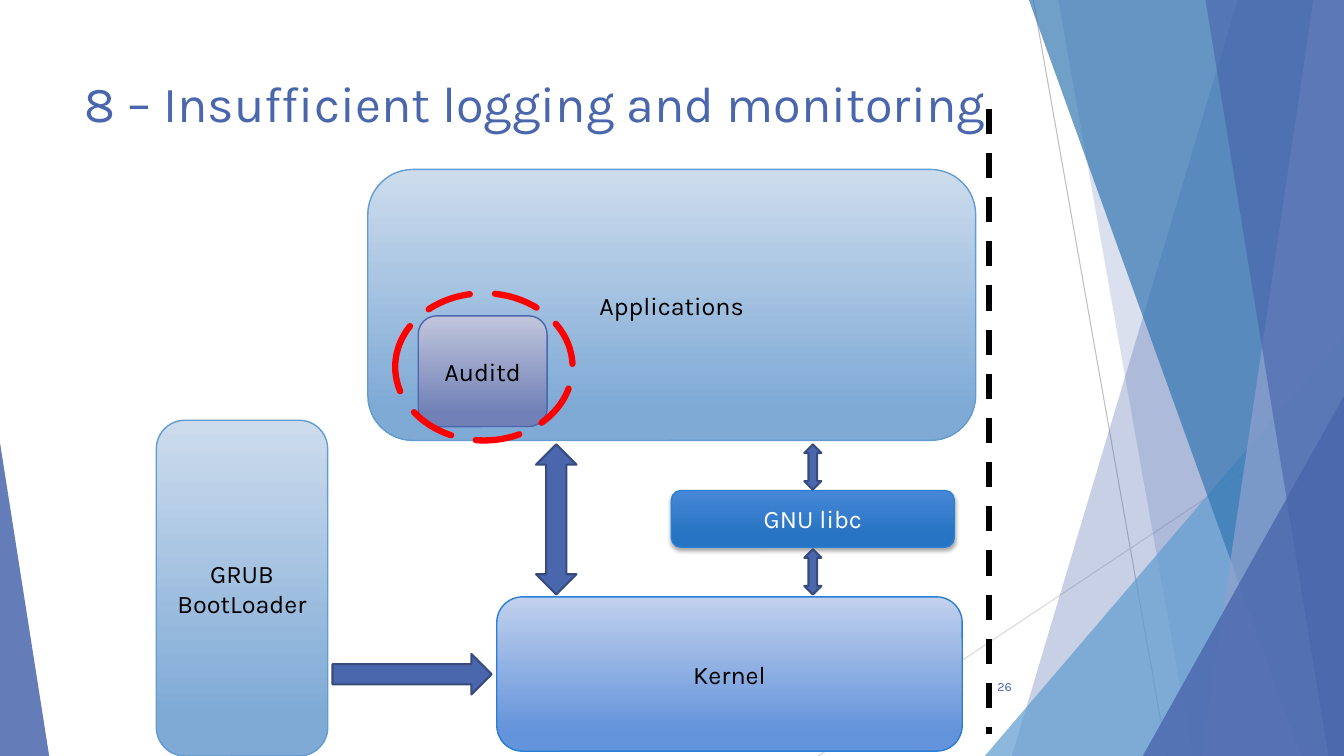
from lxml import etree
from pptx import Presentation
from pptx.dml.color import RGBColor
from pptx.enum.dml import MSO_LINE
from pptx.enum.shapes import MSO_CONNECTOR, MSO_SHAPE
from pptx.enum.text import MSO_ANCHOR, MSO_AUTO_SIZE, PP_ALIGN
from pptx.oxml.ns import qn
from pptx.util import Cm, Pt

ROUNDED = MSO_SHAPE.ROUNDED_RECTANGLE
TRIANGLE = MSO_SHAPE.ISOSCELES_TRIANGLE
RIGHT_ARROW = MSO_SHAPE.RIGHT_ARROW
UP_DOWN_ARROW = MSO_SHAPE.UP_DOWN_ARROW
OVAL = MSO_SHAPE.OVAL
STRAIGHT = MSO_CONNECTOR.STRAIGHT
DASH, LONG_DASH = MSO_LINE.DASH, MSO_LINE.LONG_DASH
TOP, MIDDLE = MSO_ANCHOR.TOP, MSO_ANCHOR.MIDDLE
LEFT, CENTER, RIGHT = PP_ALIGN.LEFT, PP_ALIGN.CENTER, PP_ALIGN.RIGHT
NO_AUTOFIT = MSO_AUTO_SIZE.NONE

WIDTH, HEIGHT = 33.87, 19.05
INDIGO, SKY, NAVY, AZURE = "4A66AC", "629DD1", "374B7F", "297FD5"
PALE_SKY = ("CDDCED", "7FAAD6")


def rgb(code):
    return RGBColor.from_string(code)


def lengths(values):
    return [Cm(value) for value in values]


class SlideBuilder:
    font = "Karla"

    def __init__(self, slide):
        self.slide = slide
        self.shapes = slide.shapes

    def set_text(self, frame, text, size, color, align, anchor, wrap):
        frame.text = text
        frame.auto_size = NO_AUTOFIT
        frame.word_wrap = wrap
        frame.vertical_anchor = anchor
        for paragraph in frame.paragraphs:
            paragraph.alignment = align
            for run in paragraph.runs:
                run.font.name = self.font
                run.font.size = Pt(size)
                run.font.color.rgb = rgb(color)

    def title(self, text, box):
        title = self.shapes.title
        title.left, title.top, title.width, title.height = lengths(box)
        self.set_text(title.text_frame, text, 36, INDIGO, LEFT, TOP, True)

    def page_number(self, text, box):
        number = self.shapes.add_textbox(*lengths(box))
        self.set_text(number.text_frame, text, 9, INDIGO, RIGHT, MIDDLE, True)

    def glaze(self, facet, color, opacity):
        facet.shadow.inherit = False
        facet.fill.solid()
        facet.fill.fore_color.rgb = rgb(color)
        facet.line.fill.background()
        tint = facet._element.spPr.find(qn("a:solidFill"))[0]
        etree.SubElement(tint, qn("a:alpha"), val=str(opacity * 1000))

    def band(self, top_x, base_x, color, opacity):
        outline = self.shapes.build_freeform(Cm(top_x), Cm(0))
        corners = [(WIDTH, 0), (WIDTH, HEIGHT), (base_x, HEIGHT)]
        outline.add_line_segments([lengths(corner) for corner in corners])
        self.glaze(outline.convert_to_shape(), color, opacity)

    def corner(self, box, apex, color, opacity):
        triangle = self.shapes.add_shape(TRIANGLE, *lengths(box))
        triangle.adjustments[0] = apex
        self.glaze(triangle, color, opacity)

    def line(self, ends, color, width, dash=None):
        rule = self.shapes.add_connector(STRAIGHT, *lengths(ends))
        rule.line.color.rgb = rgb(color)
        rule.line.width = Pt(width)
        if dash:
            rule.line.dash_style = dash
        etree.SubElement(rule._element.spPr, qn("a:effectLst"))

    def block(self, text, box, gradient, border, color="000000", stop=0.88):
        block = self.shapes.add_shape(ROUNDED, *lengths(box))
        block.shadow.inherit = False
        block.fill.gradient()
        block.fill.gradient_angle = 270
        for mark, tone, place in zip(block.fill.gradient_stops, gradient, (0, stop)):
            mark.color.rgb = rgb(tone)
            mark.position = place
        block.line.color.rgb = rgb(border)
        block.line.width = Pt(1)
        self.set_text(block.text_frame, text, 18, color, CENTER, MIDDLE, False)
        return block

    def drop_shadow(self, block):
        effects = block._element.spPr.find(qn("a:effectLst"))
        shade = etree.SubElement(
            effects, qn("a:outerShdw"), blurRad=str(Pt(3)), dist=str(Pt(2)),
            dir="5400000", algn="ctr", rotWithShape="0")
        tone = etree.SubElement(shade, qn("a:srgbClr"), val="000000")
        etree.SubElement(tone, qn("a:alpha"), val="35000")

    def arrow(self, kind, box):
        arrow = self.shapes.add_shape(kind, *lengths(box))
        arrow.shadow.inherit = False
        arrow.fill.solid()
        arrow.fill.fore_color.rgb = rgb(INDIGO)
        arrow.line.color.rgb = rgb(NAVY)
        arrow.line.width = Pt(1.5)

    def highlight(self, box):
        ring = self.shapes.add_shape(OVAL, *lengths(box))
        ring.shadow.inherit = False
        ring.fill.background()
        ring.line.color.rgb = rgb("FF0000")
        ring.line.width = Pt(4.5)
        ring.line.dash_style = LONG_DASH
        ring._element.spPr.find(qn("a:ln")).set("cap", "rnd")


def draw_backdrop(page):
    page.line((26.04, 0, 29.41, HEIGHT), "BFBFBF", 0.75)
    page.line((WIDTH, 10.24, 20.62, HEIGHT), "D9D9D9", 0.75)
    page.band(31.19, 25.5, INDIGO, 30)
    page.band(26.67, 30.05, INDIGO, 20)
    page.corner((24.82, 8.46, 9.05, 10.59), 1, SKY, 72)
    page.band(25.93, 32.79, "3477B2", 70)
    page.band(33.1, 30.28, "90A2CF", 70)
    page.band(30.38, 33.48, INDIGO, 65)
    page.corner((28.8, 9.98, 5.07, 9.07), 1, INDIGO, 80)
    page.corner((0, 11.15, 1.24, 7.9), 0, INDIGO, 85)


def draw_system(page):
    page.block("GRUB\nBootLoader", (3.94, 10.59, 4.32, 8.46), PALE_SKY, SKY)
    page.arrow(RIGHT_ARROW, (8.38, 16.48, 4.01, 1.02))
    page.block("Kernel", (12.52, 15.04, 11.73, 3.89), ("C2D1EE", "6393DA"), AZURE)
    libc = page.block("GNU libc", (16.92, 12.36, 7.13, 1.43),
                      ("4887D7", "2674C3"), AZURE, "FFFFFF", 0.78)
    page.drop_shadow(libc)
    page.block("Applications", (9.27, 4.27, 15.32, 6.83), PALE_SKY, SKY)
    page.arrow(UP_DOWN_ARROW, (13.51, 11.2, 1.02, 3.78))
    for top in (13.84, 11.2):
        page.arrow(UP_DOWN_ARROW, (20.27, top, 0.43, 1.14))
    page.line((24.92, 2.74, 24.92, 18.49), "000000", 4.5, DASH)
    page.block("Auditd", (10.54, 7.96, 3.25, 2.79), ("C1C6DC", "7181B7"), INDIGO)
    page.highlight((9.96, 7.39, 4.47, 3.71))


def main():
    deck = Presentation()
    deck.slide_width, deck.slide_height = Cm(WIDTH), Cm(HEIGHT)
    title_only = deck.slide_layouts[5]
    page = SlideBuilder(deck.slides.add_slide(title_only))
    draw_backdrop(page)
    page.title("8 – Insufficient logging and monitoring", (1.88, 1.7, 23.88, 3.66))
    page.page_number("26", (23.85, 16.79, 1.9, 1.02))
    draw_system(page)
    deck.save("out.pptx")


if __name__ == "__main__":
    main()
